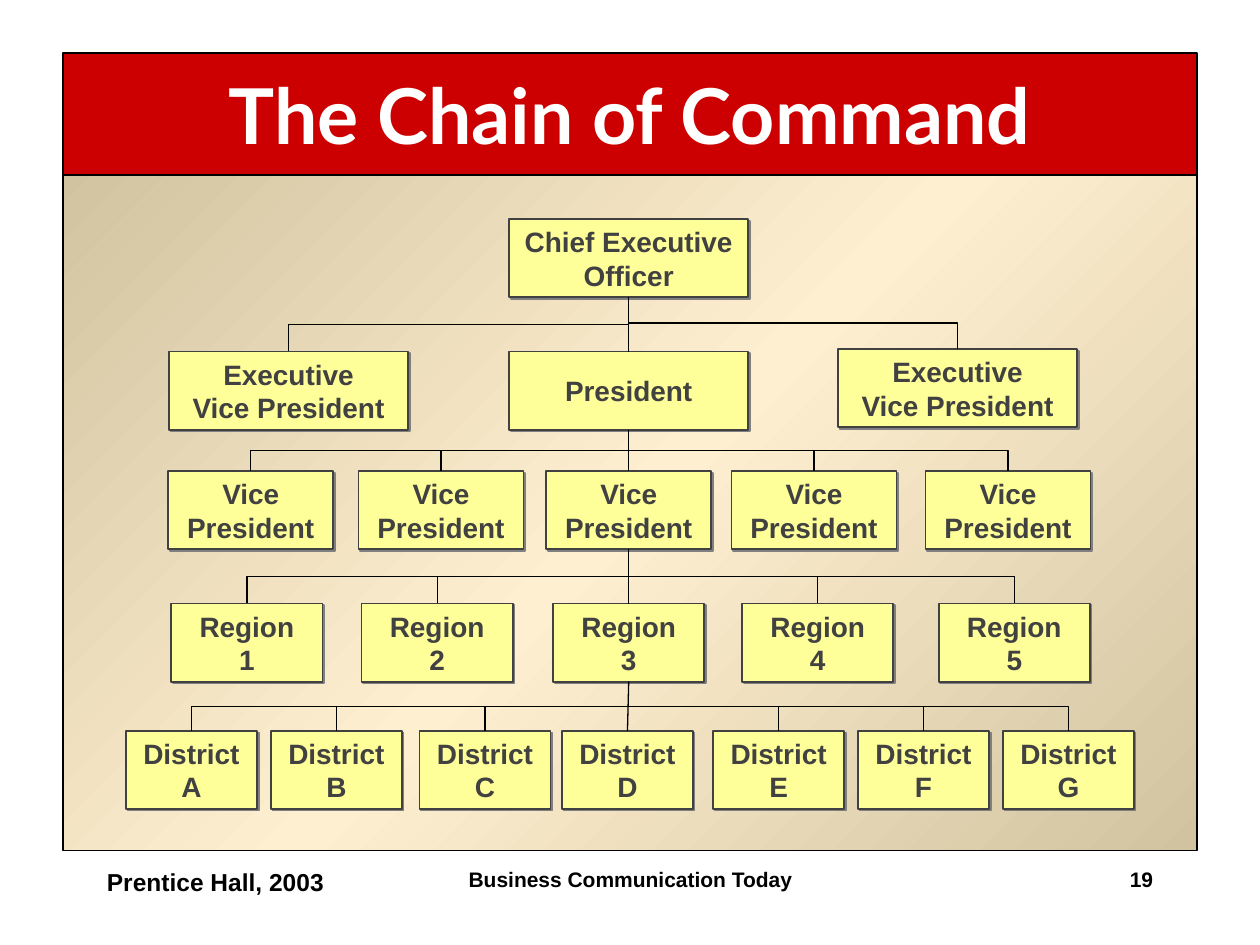
from pptx import Presentation
from pptx.dml.color import RGBColor
from pptx.enum.shapes import MSO_CONNECTOR, MSO_SHAPE
from pptx.enum.text import MSO_ANCHOR, PP_ALIGN
from pptx.oxml import parse_xml
from pptx.oxml.ns import nsdecls, qn
from pptx.util import Inches, Pt
from copy import deepcopy

RECT = MSO_SHAPE.RECTANGLE
STRAIGHT, ELBOW = MSO_CONNECTOR.STRAIGHT, MSO_CONNECTOR.ELBOW
MIDDLE, TOP = MSO_ANCHOR.MIDDLE, MSO_ANCHOR.TOP
LEFT, CENTER, RIGHT = PP_ALIGN.LEFT, PP_ALIGN.CENTER, PP_ALIGN.RIGHT
BOTTOM_SITE, TOP_SITE = 2, 0

COLORS = {"black": "000000", "white": "FFFFFF", "red": "CC0000",
          "tan": "D1C39F", "cream": "FFEFD1", "box": "FFFF99",
          "ink": "414141", "shadow": "808080"}
COLS, ROWS = 100, 75
BOX_ROWS = 6.2


def rgb(name):
    return RGBColor.from_string(COLORS[name])


class OrgChart:
    """Draws on one slide; positions are columns and rows of a 100 x 75 grid."""

    font = "Arial"

    def __init__(self, prs):
        self.s = prs.slides.add_slide(prs.slide_layouts[6])
        self.col = prs.slide_width / COLS
        self.row = prs.slide_height / ROWS

    def place(self, x, y, w, h):
        return (round(x * self.col), round(y * self.row),
                round(w * self.col), round(h * self.row))

    def set_text(self, sp, text, size, color, align=CENTER, anchor=MIDDLE,
                 font=None, wrap=True):
        tf = sp.text_frame
        tf.text = text
        tf.word_wrap = wrap
        tf.vertical_anchor = anchor
        for p in tf.paragraphs:
            p.alignment = align
            for r in p.runs:
                r.font.name = font or self.font
                r.font.size = Pt(size)
                r.font.bold = True
                r.font.color.rgb = rgb(color)

    def rect(self, x, y, w, h, fill=None, line="black", weight=0.75):
        sp = self.s.shapes.add_shape(RECT, *self.place(x, y, w, h))
        sp.shadow.inherit = False
        if fill:
            sp.fill.solid()
            sp.fill.fore_color.rgb = rgb(fill)
        sp.line.color.rgb = rgb(line)
        sp.line.width = Pt(weight)
        return sp

    def gradient_panel(self, x, y, w, h, colors, angle):
        sp = self.rect(x, y, w, h)
        sp.fill.gradient()
        sp.fill.gradient_angle = angle
        stops = sp._element.spPr.find(".//" + qn("a:gsLst"))
        stops.append(deepcopy(stops[0]))
        for i, (stop, color) in enumerate(zip(sp.fill.gradient_stops, colors)):
            stop.position = i / (len(colors) - 1)
            stop.color.rgb = rgb(color)

    def position_box(self, text, center, y, w):
        sp = self.rect(center - w / 2, y, w, BOX_ROWS, "box", "ink", 1)
        sp._element.spPr.find(qn("a:effectLst")).append(parse_xml(
            f'<a:outerShdw {nsdecls("a")} dist="{Pt(1.4)}" dir="2700000" '
            f'algn="ctr" rotWithShape="0">'
            f'<a:srgbClr val="{COLORS["shadow"]}"/></a:outerShdw>'))
        self.set_text(sp, text, 16, "ink", wrap=False)
        return sp

    def level(self, texts, centers, tops, w):
        return [self.position_box(text, center, y, w)
                for text, center, y in zip(texts, centers, tops)]

    def report_line(self, boss, staff):
        """Join a boss's bottom to a subordinate's top, bending halfway down."""
        x1, y1 = boss.left + boss.width // 2, boss.top + boss.height
        x2, y2 = staff.left + staff.width // 2, staff.top
        dx, dy = x2 - x1, y2 - y1
        bent = abs(dx) > self.col
        c = self.s.shapes.add_connector(ELBOW if bent else STRAIGHT,
                                        x1, y1, x2, y2)
        c.begin_connect(boss, BOTTOM_SITE)
        c.end_connect(staff, TOP_SITE)
        c.line.color.rgb = rgb("black")
        c.line.width = Pt(0.75)
        spPr = c._element.spPr
        spPr.append(parse_xml(f'<a:effectLst {nsdecls("a")}/>'))
        if bent:  # an elbow leaves sideways, so it is turned a quarter
            c.left = (x1 + x2 - dy) // 2
            c.top = (y1 + y2 - abs(dx)) // 2
            c.width, c.height = dy, abs(dx)
            xfrm = spPr.find(qn("a:xfrm"))
            xfrm.set("rot", str((90 if dx < 0 else 270) * 60000))
            xfrm.set("flipH", "0" if dx < 0 else "1")
            xfrm.set("flipV", "0")

    def footer(self, text, x, w, size, align):
        sp = self.s.shapes.add_textbox(*self.place(x, 68.3, w, 5))
        self.set_text(sp, text, size, "black", align, TOP)


def main():
    prs = Presentation()
    prs.slide_width, prs.slide_height = Inches(10), Inches(7.5)
    chart = OrgChart(prs)

    chart.gradient_panel(5, 13.3, 90, 54.2, ("tan", "cream", "tan"), 135)
    title = chart.rect(5, 4.2, 90, 9.7, "red")
    chart.set_text(title, "The Chain of Command", 44, "white", font="Lato")

    executive = "Executive\nVice President"
    # labels, box centres, box tops, box width
    levels = [
        (["Chief Executive\nOfficer"], [49.9], [17.4], 19),
        ([executive, "President", executive],
         [22.9, 49.9, 76], [27.9, 27.9, 27.7], 19),
        (["Vice\nPresident"] * 5,
         [19.9, 35, 49.9, 64.6, 80], [37.4] * 5, 13.1),
        ([f"Region\n{n}" for n in range(1, 6)],
         [19.6, 34.7, 49.9, 64.9, 80.5], [47.9] * 5, 12),
        ([f"District\n{letter}" for letter in "ABCDEFG"],
         [15.2, 26.7, 38.5, 49.8, 61.8, 73.3, 84.8], [58] * 7, 10.4),
    ]
    boxes = [chart.level(*level) for level in levels]
    for upper, lower in zip(boxes, boxes[1:]):
        boss = upper[len(upper) // 2]
        for staff in lower:
            chart.report_line(boss, staff)

    chart.footer("Business Communication Today", 34.2, 31.7, 12, CENTER)
    chart.footer("19", 71.7, 20.8, 12, RIGHT)
    chart.footer("Prentice Hall, 2003", 7.5, 20.8, 14, LEFT)
    prs.save("out.pptx")


if __name__ == "__main__":
    main()
